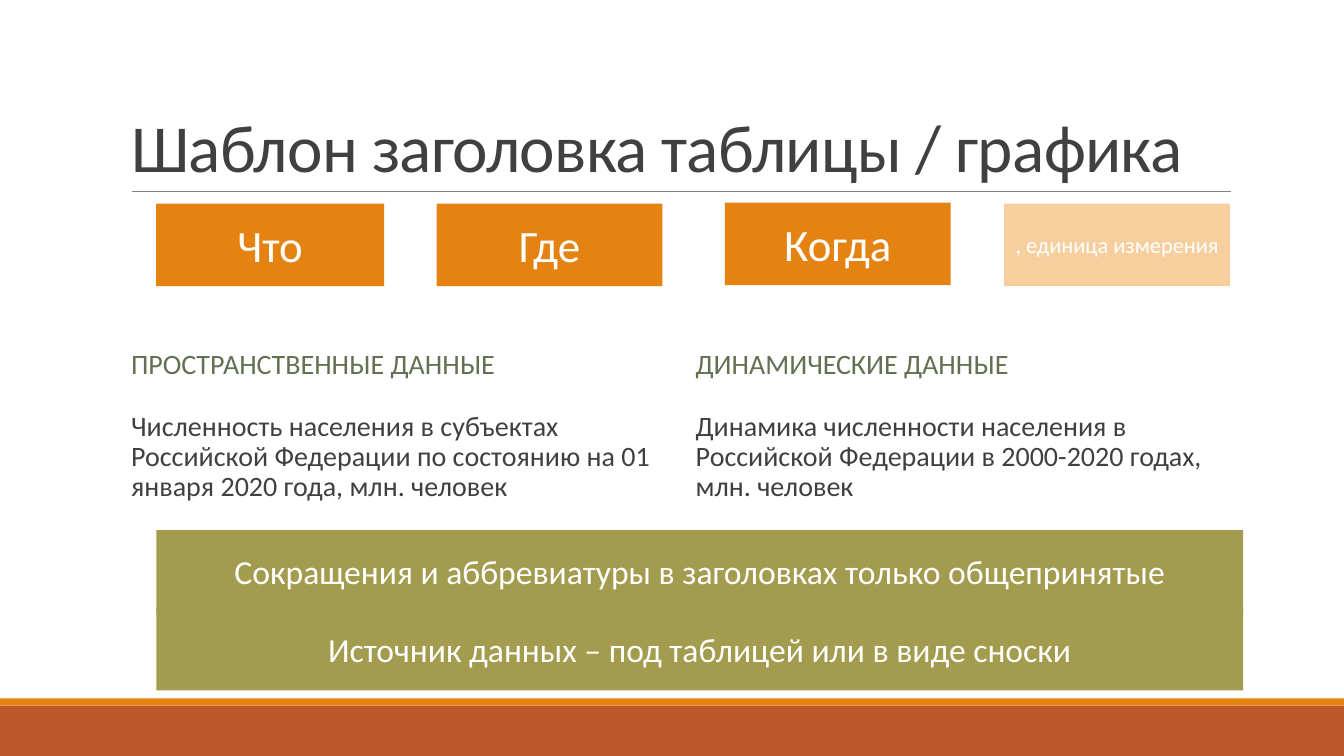
from lxml import etree
from pptx import Presentation
from pptx.dml.color import RGBColor
from pptx.enum.shapes import MSO_CONNECTOR, MSO_SHAPE
from pptx.enum.text import MSO_ANCHOR, MSO_AUTO_SIZE, PP_ALIGN
from pptx.oxml.ns import qn
from pptx.util import Pt

STRAIGHT = MSO_CONNECTOR.STRAIGHT
RECTANGLE = MSO_SHAPE.RECTANGLE
TOP, MIDDLE, BOTTOM = MSO_ANCHOR.TOP, MSO_ANCHOR.MIDDLE, MSO_ANCHOR.BOTTOM
LEFT, CENTER = PP_ALIGN.LEFT, PP_ALIGN.CENTER
NO_AUTOFIT = MSO_AUTO_SIZE.NONE
COMPARISON_LAYOUT = 4
EMU_PER_PX = 9144

COLORS = {
    "accent": "E48312",
    "pale": "F7CE9D",
    "footer": "BD582C",
    "olive": "A39B4E",
    "heading": "637052",
    "text": "404040",
    "rule": "808080",
    "white": "FFFFFF",
}


class SlideBuilder:
    """Holds the style and the current slide, and adds each kind of element."""

    font_name = "Calibri"

    def __init__(self, slide):
        self.slide = slide

    def color(self, name):
        return RGBColor.from_string(COLORS[name])

    def scale(self, *lengths):
        return [length * EMU_PER_PX for length in lengths]

    def fill_text(self, shape, text, size, color, anchor, paragraph_format):
        frame = shape.text_frame
        frame.word_wrap = True
        frame.auto_size = NO_AUTOFIT
        frame.vertical_anchor = anchor
        paragraph = frame.paragraphs[0]
        for name, value in paragraph_format.items():
            setattr(paragraph, name, value)
        run = paragraph.add_run()
        run.text = text
        font_format = {"name": self.font_name, "size": Pt(size), "bold": False}
        for name, value in font_format.items():
            setattr(run.font, name, value)
        run.font.color.rgb = self.color(color)
        return paragraph

    def placeholder(self, index, box):
        shape = self.slide.placeholders[index]
        names = ("left", "top", "width", "height")
        for name, value in zip(names, self.scale(*box)):
            setattr(shape, name, value)
        return shape

    def title(self, text, box):
        shape = self.placeholder(0, box)
        layout = {"alignment": LEFT, "line_spacing": 0.85}
        paragraph = self.fill_text(shape, text, 48, "text", BOTTOM, layout)
        paragraph.runs[0]._r.get_or_add_rPr().set("spc", "-50")

    def body(self, index, text, box, color, anchor):
        layout = {"alignment": LEFT, "line_spacing": 0.9,
                  "space_before": Pt(0), "space_after": Pt(2)}
        shape = self.placeholder(index, box)
        return shape, self.fill_text(shape, text, 20, color, anchor, layout)

    def example(self, index, text, box):
        shape, paragraph = self.body(index, text, box, "text", TOP)
        shape.text_frame.margin_left = shape.text_frame.margin_right = 0
        properties = paragraph._p.get_or_add_pPr()
        indent = self.scale(10)[0]
        properties.set("marL", str(indent))
        properties.set("indent", str(-indent))
        bullet_color = etree.SubElement(properties, qn("a:buClr"))
        etree.SubElement(bullet_color, qn("a:srgbClr"), val=COLORS["accent"])
        etree.SubElement(properties, qn("a:buChar"), char=" ")

    def block(self, box, fill, text="", size=24):
        shape = self.slide.shapes.add_shape(RECTANGLE, *self.scale(*box))
        shape.shadow.inherit = False
        shape.fill.solid()
        shape.fill.fore_color.rgb = self.color(fill)
        shape.line.fill.background()
        if text:
            self.fill_text(shape, text, size, "white", MIDDLE, {"alignment": CENTER})

    def rule(self, start, end, color, width):
        line = self.slide.shapes.add_connector(STRAIGHT, *self.scale(*start, *end))
        line.line.color.rgb = self.color(color)
        line.line.width = Pt(width)
        etree.SubElement(line._element.spPr, qn("a:effectLst"))


def main():
    presentation = Presentation()
    presentation.slide_width = 1333 * EMU_PER_PX
    presentation.slide_height = 750 * EMU_PER_PX
    layout = presentation.slide_layouts[COMPARISON_LAYOUT]
    builder = SlideBuilder(presentation.slides.add_slide(layout))

    builder.block((0, 700, 1333, 50), "footer")
    builder.block((0, 693, 1333, 7), "accent")
    builder.rule((131, 190), (1221, 190), "rule", 0.5)
    builder.title("Шаблон заголовка таблицы / графика", (120, 31, 1100, 159))

    columns = [
        ("ПРОСТРАНСТВЕННЫЕ ДАННЫЕ",
         "Численность населения в субъектах Российской Федерации "
         "по состоянию на 01 января 2020 года, млн. человек"),
        ("ДИНАМИЧЕСКИЕ ДАННЫЕ",
         "Динамика численности населения в Российской Федерации "
         "в 2000-2020 годах, млн. человек"),
    ]
    for number, (heading, example) in enumerate(columns):
        left = 120 + 560 * number
        index = 1 + 2 * number
        builder.body(index, heading, (left, 322, 540, 81), "heading", MIDDLE)
        builder.example(index + 1, example, (left, 404, 540, 248))

    title_parts = [
        ("Что", 155, 202, 226, "accent", 32),
        ("Где", 433, 202, 224, "accent", 32),
        ("Когда", 719, 201, 224, "accent", 32),
        (", единица измерения", 996, 202, 224, "pale", 16),
    ]
    for text, left, top, width, fill, size in title_parts:
        builder.block((left, top, width, 82), fill, text, size)

    notes = [
        "Сокращения и аббревиатуры в заголовках только общепринятые",
        "Источник данных – под таблицей или в виде сноски",
    ]
    for number, text in enumerate(notes):
        builder.block((155, 526 + 77 * number, 1078, 82), "olive", text)

    presentation.save("out.pptx")


if __name__ == "__main__":
    main()
